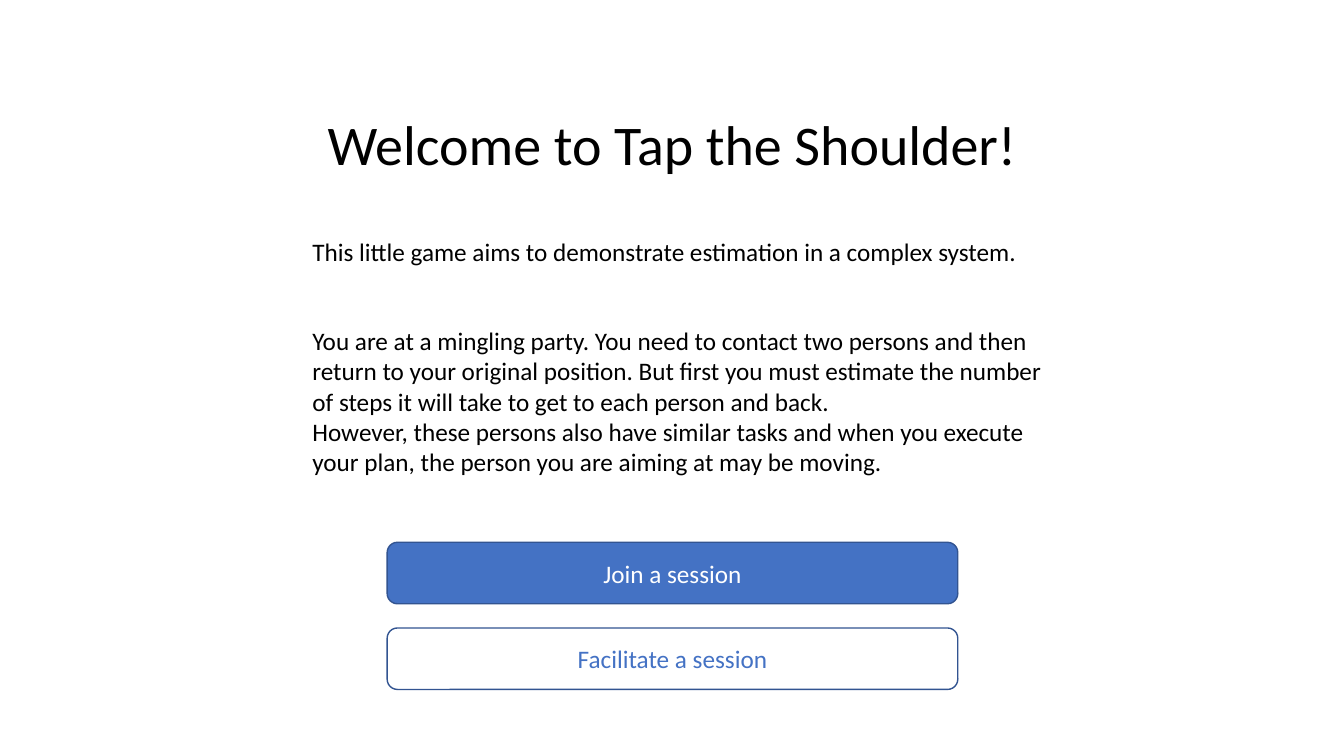
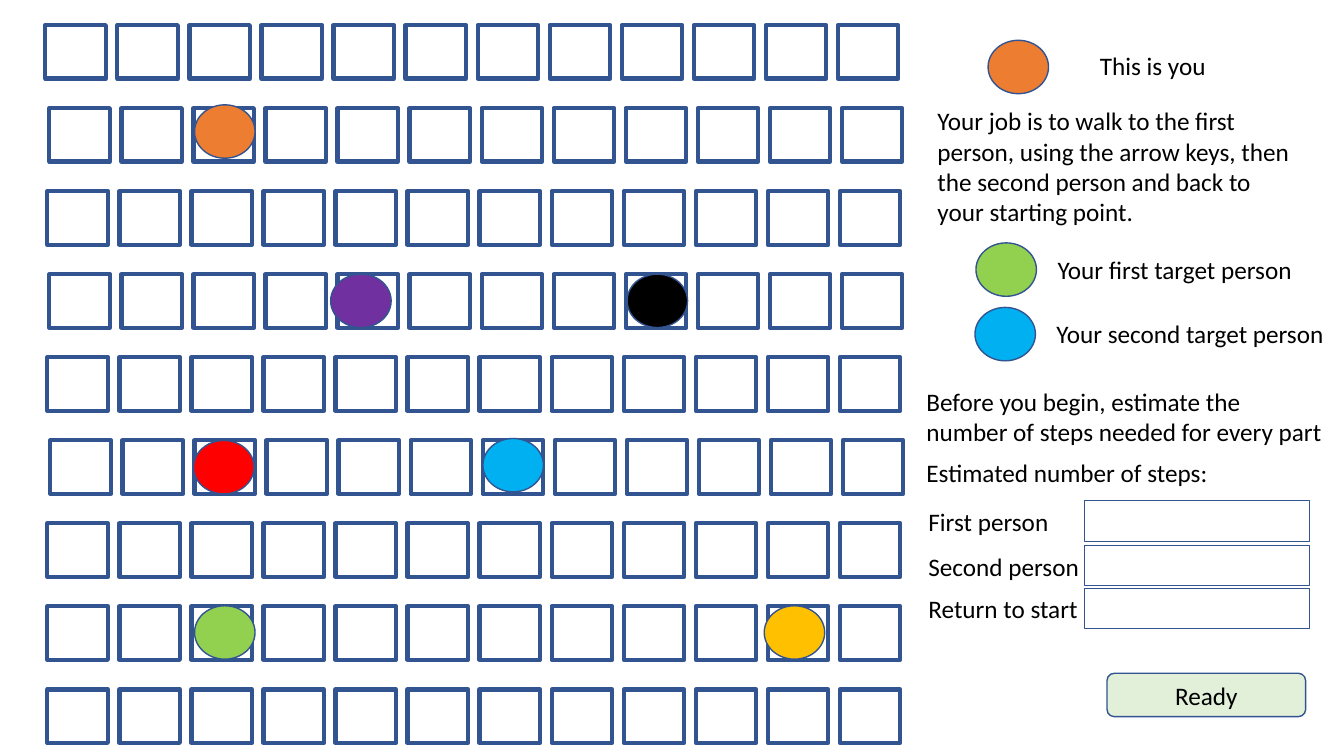
from typing import NamedTuple, Optional

import pptx
import pptx.dml.color
import pptx.enum.shapes
import pptx.enum.text
import pptx.util

Inches = pptx.util.Inches
Shapes = pptx.enum.shapes.MSO_SHAPE
Align = pptx.enum.text.PP_ALIGN

# Shared style
FONT = "Calibri"
BODY_SIZE = 18
TITLE_SIZE = 40
BLACK, WHITE = "000000", "FFFFFF"
BLUE, OUTLINE = "4472C4", "325491"
ORANGE, GREEN, SKY = "ED7D31", "92D050", "00B0F0"
PURPLE, YELLOW, RED, PALE_GREEN = "7030A0", "FFC000", "FF0000", "E2F0D9"

# Board of squares; rows start at slightly different left edges
CELL_WIDTH, CELL_HEIGHT = 0.6, 0.53
COLUMNS = 12
ROW_LEFTS = (0.45, 0.49, 0.47, 0.49, 0.47, 0.5, 0.47, 0.47, 0.47)
BOARD_TOP, LAST_ROW_TOP = 0.25, 6.84
ROW_PITCH = (LAST_ROW_TOP - BOARD_TOP) / (len(ROW_LEFTS) - 1)
COLUMN_PITCH = 7.86 / (COLUMNS - 1)


class Box(NamedTuple):
    left: float
    top: float
    width: float
    height: float

    def lengths(self) -> list:
        return [Inches(value) for value in self]


class Label(NamedTuple):
    box: Box
    paragraphs: tuple
    size: int = BODY_SIZE
    align: Align = Align.LEFT


class Button(NamedTuple):
    box: Box
    text: str
    fill: Optional[str]
    text_color: str


class Person(NamedTuple):
    left: float
    top: float
    color: str


INTRO_LABELS = (
    Label(Box(0, 1.04, 13.33, 0.77), ("Welcome to Tap the Shoulder!",), TITLE_SIZE, Align.CENTER),
    Label(Box(3, 2.3, 7.57, 0.4),
          ("This little game aims to demonstrate estimation in a complex system.",)),
    Label(Box(3, 3.18, 7.57, 1.62), (
        "You are at a mingling party. You need to contact two persons and then return to your "
        "original position. But first you must estimate the number of steps it will take to get "
        "to each person and back.",
        "However, these persons also have similar tasks and when you execute your plan, the "
        "person you are aiming at may be moving.")),
)
INTRO_BUTTONS = (
    Button(Box(3.84, 5.38, 5.66, 0.61), "Join a session", BLUE, WHITE),
    Button(Box(3.84, 6.23, 5.66, 0.61), "Facilitate a session", None, BLUE),
)

LEGEND_PEOPLE = (
    Person(9.8, 0.4, ORANGE),
    Person(9.68, 2.41, GREEN),
    Person(9.67, 3.05, SKY),
)
BOARD_PEOPLE = (
    Person(4.79, 4.35, SKY),
    Person(1.93, 1.04, ORANGE),
    Person(1.93, 6.01, GREEN),
    Person(6.22, 2.72, BLACK),
    Person(3.28, 2.72, PURPLE),
    Person(7.58, 6.01, YELLOW),
    Person(1.92, 4.37, RED),
)
GAME_LABELS = (
    Label(Box(10.81, 0.45, 1.42, 0.4), ("This is you",)),
    Label(Box(9.2, 1, 3.8, 1.31), (
        "Your job is to walk to the first person, using the arrow keys, then the second person "
        "and back to your starting point.",)),
    Label(Box(10.39, 2.47, 2.61, 0.4), ("Your first target person",)),
    Label(Box(10.38, 3.11, 2.88, 0.4), ("Your second target person",)),
    Label(Box(9.09, 3.78, 4.15, 0.71),
          ("Before you begin, estimate the number of steps needed for every part",)),
    Label(Box(9.09, 4.49, 3.82, 0.4), ("Estimated number of steps:",)),
    Label(Box(9.11, 4.97, 1.74, 0.4), ("First person",)),
    Label(Box(9.11, 5.42, 1.74, 0.4), ("Second person",)),
    Label(Box(9.11, 5.84, 1.74, 0.4), ("Return to start",)),
)
ESTIMATE_FIELD_TOPS = (4.97, 5.41, 5.84)
READY_BUTTON = Button(Box(10.98, 6.68, 1.97, 0.43), "Ready", PALE_GREEN, BLACK)


def rgb(color: str) -> pptx.dml.color.RGBColor:
    return pptx.dml.color.RGBColor.from_string(color)


def format_paragraph(paragraph, text: str, size: int, color: str, align: Align) -> None:
    paragraph.text = text
    paragraph.alignment = align
    for run in paragraph.runs:
        run.font.name = FONT
        run.font.size = pptx.util.Pt(size)
        run.font.color.rgb = rgb(color)


def add_label(slide, label: Label) -> None:
    text_frame = slide.shapes.add_textbox(*label.box.lengths()).text_frame
    text_frame.word_wrap = True
    text_frame.auto_size = pptx.enum.text.MSO_AUTO_SIZE.SHAPE_TO_FIT_TEXT
    for index, text in enumerate(label.paragraphs):
        paragraph = text_frame.add_paragraph() if index else text_frame.paragraphs[0]
        format_paragraph(paragraph, text, label.size, BLACK, label.align)


def add_outlined(slide, kind: Shapes, box: Box, fill: Optional[str] = None,
                 line_width: float = 1):
    shape = slide.shapes.add_shape(kind, *box.lengths())
    shape.shadow.inherit = False
    if fill is None:
        shape.fill.background()
    else:
        shape.fill.solid()
        shape.fill.fore_color.rgb = rgb(fill)
    shape.line.color.rgb = rgb(OUTLINE)
    shape.line.width = pptx.util.Pt(line_width)
    return shape


def add_button(slide, button: Button) -> None:
    shape = add_outlined(slide, Shapes.ROUNDED_RECTANGLE, button.box, button.fill)
    text_frame = shape.text_frame
    text_frame.vertical_anchor = pptx.enum.text.MSO_ANCHOR.MIDDLE
    format_paragraph(text_frame.paragraphs[0], button.text, BODY_SIZE, button.text_color,
                     Align.CENTER)


def add_board(slide) -> None:
    for row, row_left in enumerate(ROW_LEFTS):
        for column in range(COLUMNS):
            cell = Box(row_left + column * COLUMN_PITCH, BOARD_TOP + row * ROW_PITCH,
                       CELL_WIDTH, CELL_HEIGHT)
            add_outlined(slide, Shapes.RECTANGLE, cell, line_width=3)


def add_person(slide, person: Person) -> None:
    box = Box(person.left, person.top, CELL_WIDTH, CELL_HEIGHT)
    add_outlined(slide, Shapes.OVAL, box, person.color)


def build_welcome(slide) -> None:
    for label in INTRO_LABELS:
        add_label(slide, label)
    for button in INTRO_BUTTONS:
        add_button(slide, button)


def build_game(slide) -> None:
    add_board(slide)
    for person in LEGEND_PEOPLE + BOARD_PEOPLE:
        add_person(slide, person)
    for label in GAME_LABELS:
        add_label(slide, label)
    for top in ESTIMATE_FIELD_TOPS:
        add_outlined(slide, Shapes.RECTANGLE, Box(10.76, top, 2.23, 0.4), line_width=0.75)
    add_button(slide, READY_BUTTON)


def main() -> None:
    presentation = pptx.Presentation()
    presentation.slide_width = Inches(13.33)
    presentation.slide_height = Inches(7.5)
    blank_layout = presentation.slide_layouts[6]
    for build in (build_welcome, build_game):
        build(presentation.slides.add_slide(blank_layout))
    presentation.save("out.pptx")


if __name__ == "__main__":
    main()
